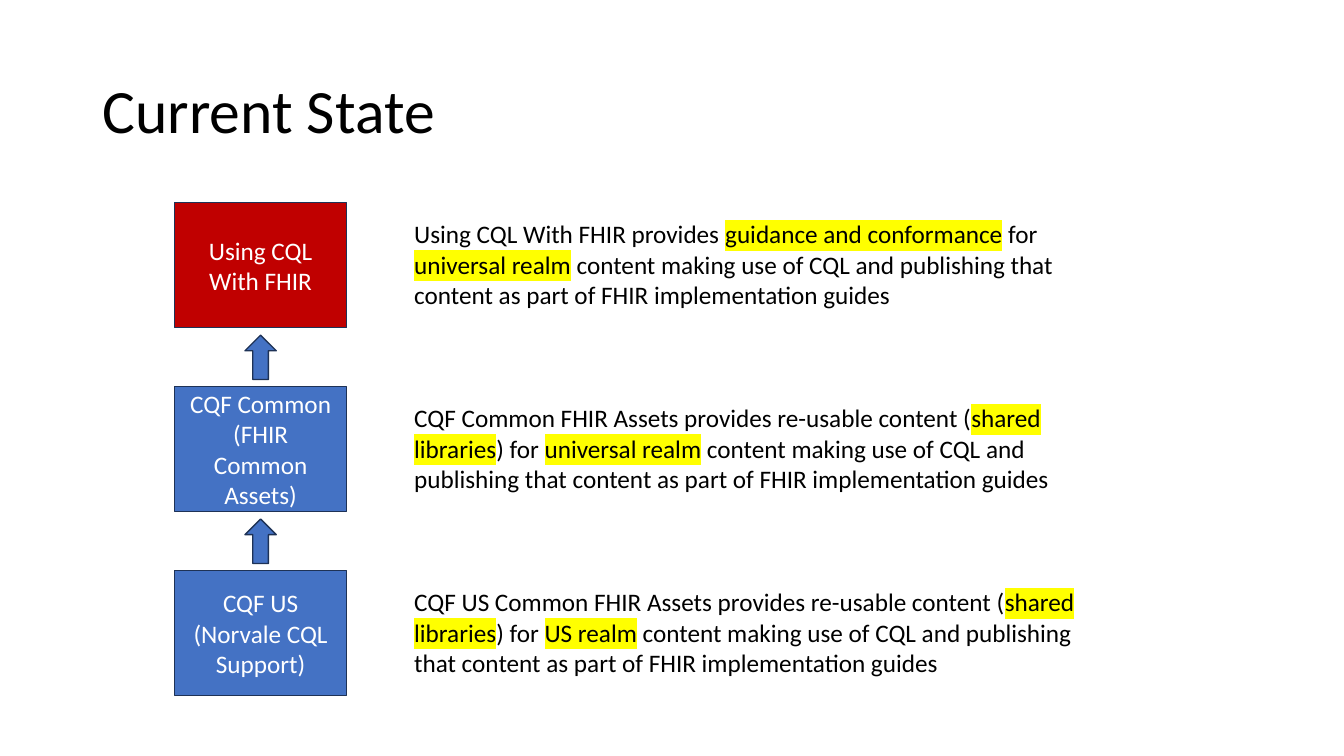
from dataclasses import dataclass

from lxml import etree
from pptx import Presentation
from pptx import util as u
from pptx.dml.color import RGBColor
from pptx.enum import shapes, text
from pptx.oxml import ns


@dataclass(frozen=True)
class Theme:
    font: str = "Calibri"
    ink: str = "000000"
    white: str = "FFFFFF"
    blue: str = "4472C4"
    red: str = "C00000"
    edge: str = "1E3256"
    mark: str = "FFFF00"
    head: int = 44
    body: int = 18


THEME = Theme()
TOP = 2.01
STEP = 3.65 / 2
TAIL = " content making use of CQL and publishing that content as part of FHIR implementation guides"

LAYERS = [
    (THEME.red, ["Using CQL With FHIR"],
     [("Using CQL With FHIR provides ", False), ("guidance and conformance", True),
      (" for ", False), ("universal realm", True)]),
    (THEME.blue, ["CQF Common (FHIR Common Assets)"],
     [("CQF Common FHIR Assets provides re-usable content (", False),
      ("shared libraries", True), (") for ", False), ("universal realm", True)]),
    (THEME.blue, ["CQF US", "(Norvale CQL Support)"],
     [("CQF US Common FHIR Assets provides re-usable content (", False),
      ("shared libraries", True), (") for ", False), ("US realm", True)]),
]


def add_run(para, words, size, color, mark=False):
    run = para.add_run()
    run.text = words
    run.font.size = u.Pt(size)
    run.font.color.rgb = RGBColor.from_string(color)
    if mark:
        light = etree.SubElement(run.font._element, ns.qn("a:highlight"))
        etree.SubElement(light, ns.qn("a:srgbClr"), val=THEME.mark)
    run.font.name = THEME.font


def add_note(slide, left, top, width, height, runs, size):
    box = slide.shapes.add_textbox(*map(u.Inches, (left, top, width, height)))
    frame = box.text_frame
    frame.word_wrap = True
    for words, mark in runs:
        add_run(frame.paragraphs[0], words, size, THEME.ink, mark)
    return frame


def add_block(slide, kind, left, top, width, height, fill):
    block = slide.shapes.add_shape(kind, *map(u.Inches, (left, top, width, height)))
    block.shadow.inherit = False
    block.fill.solid()
    block.fill.fore_color.rgb = RGBColor.from_string(fill)
    block.line.color.rgb = RGBColor.from_string(THEME.edge)
    block.line.width = u.Pt(1)
    return block


def add_card(slide, top, fill, lines):
    card = add_block(slide, shapes.MSO_SHAPE.RECTANGLE, 1.73, top, 1.71, 1.24, fill)
    frame = card.text_frame
    frame.word_wrap = True
    frame.vertical_anchor = text.MSO_ANCHOR.MIDDLE
    for i, words in enumerate(lines):
        para = frame.add_paragraph() if i else frame.paragraphs[0]
        para.alignment = text.PP_ALIGN.CENTER
        add_run(para, words, THEME.body, THEME.white)


def add_title(slide, words):
    frame = add_note(slide, 0.92, 0.4, 11.5, 1.45, [(words, False)], THEME.head)
    frame.vertical_anchor = text.MSO_ANCHOR.MIDDLE
    frame.paragraphs[0].line_spacing = 0.9


def main():
    deck = Presentation()
    deck.slide_width = u.Inches(13.33)
    deck.slide_height = u.Inches(7.5)
    slide = deck.slides.add_slide(deck.slide_layouts[6])
    add_title(slide, "Current State")
    for i, (fill, lines, runs) in enumerate(LAYERS):
        top = TOP + i * STEP
        add_card(slide, top, fill, lines)
        add_note(slide, 4.01, top + 0.11, 7.1, 1.01, runs + [(TAIL, False)], THEME.body)
        if i:
            add_block(slide, shapes.MSO_SHAPE.UP_ARROW, 2.43, top - 0.51, 0.31, 0.44, THEME.blue)
    deck.save("out.pptx")


if __name__ == "__main__":
    main()
